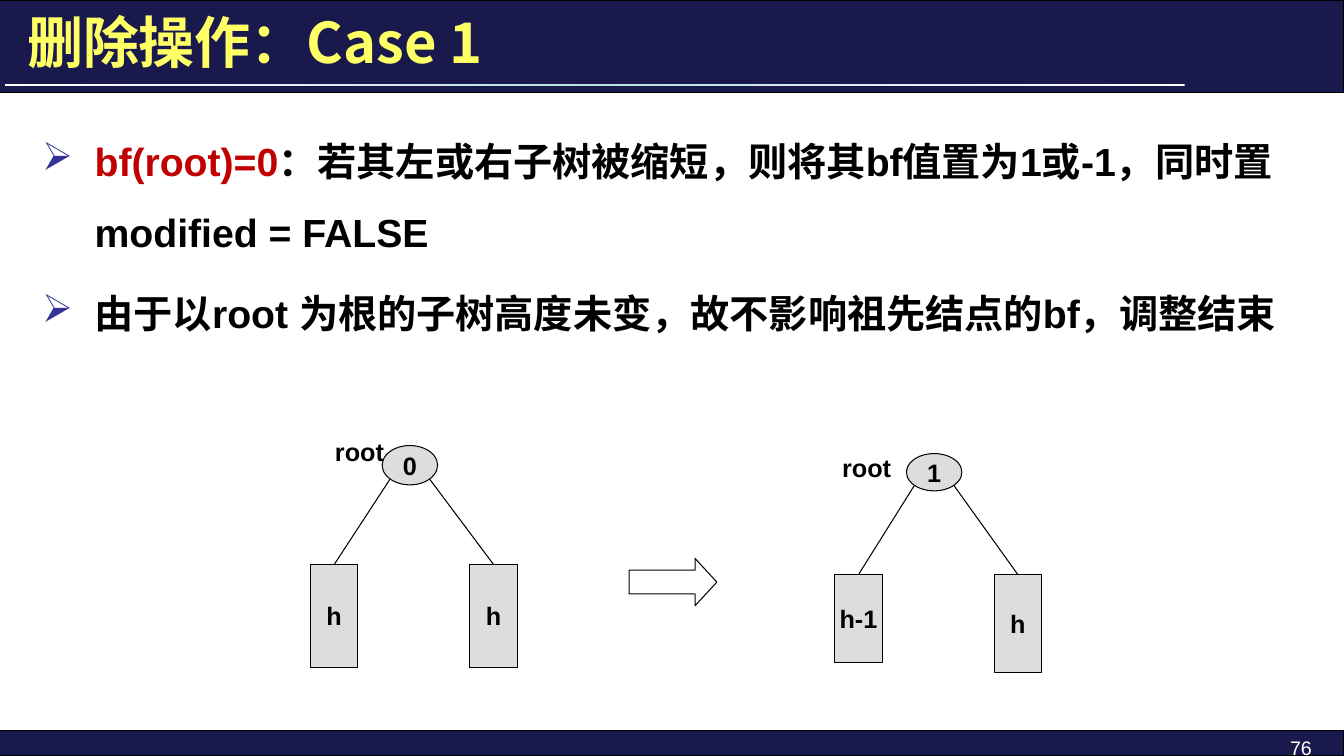
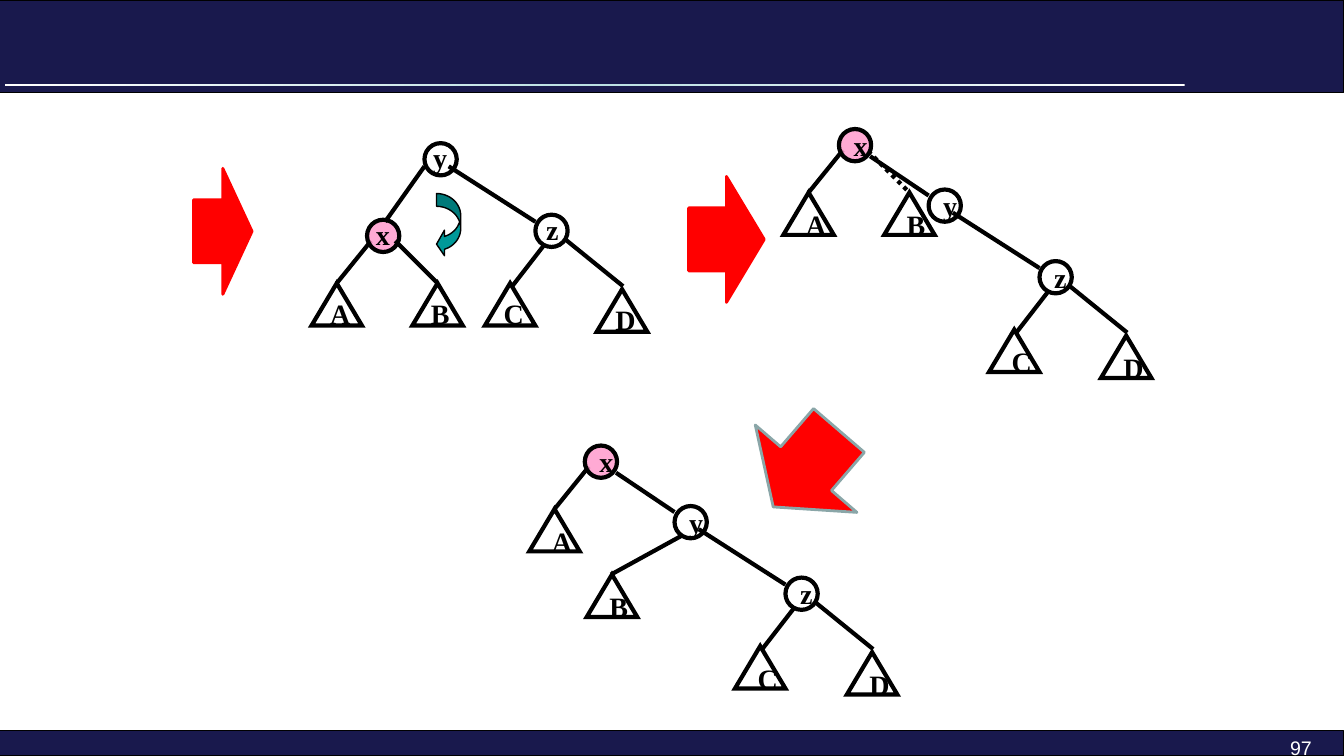
from lxml import etree
from pptx import Presentation
from pptx.dml.color import RGBColor
from pptx.enum.dml import MSO_LINE
from pptx.enum.shapes import MSO_CONNECTOR, MSO_SHAPE as SHAPE
from pptx.enum.text import MSO_ANCHOR as ANCHOR, PP_ALIGN as ALIGN
from pptx.oxml import parse_xml
from pptx.oxml.ns import nsdecls, qn
from pptx.util import Inches, Pt

# Shared look
NAVY, WHITE, BLACK, YELLOW = "19194D", "FFFFFF", "000000", "FFFF66"
GRAY, RED, PINK, TEAL = "DDDDDD", "FF0000", "FF99CC", "009999"
DARK_RED, BULLET_BLUE, PALE_TEAL, ARROW_EDGE = "C00000", "333399", "BBE0E3", "8AA6A8"
HAN_FONT = "Noto Sans CJK SC"
TITLE = {"name": HAN_FONT, "size": Pt(40), "bold": True}
BODY = {"name": "Arial", "size": Pt(28), "bold": True}
LABEL = {"name": "Arial", "size": Pt(18), "bold": True}
NODE = {"name": "Times New Roman", "size": Pt(20), "bold": True}
PAGE_NUMBER = {"name": "Arial", "size": Pt(14), "bold": False}

# Sizes of the tree parts
CIRCLE = 0.32
TRIANGLE_WIDTH, TRIANGLE_HEIGHT = 0.5, 0.42
BOX_WIDTH = 0.47
DEFAULT_INSETS = (0.1, 0.05, 0.1, 0.05)
CIRCLE_INSETS = (0.04, 0.01, 0.1, 0.05)
TRIANGLE_INSETS = (0.06, 0.01, 0.1, 0.05)


def rgb(color):
    return RGBColor.from_string(color)


# Text
def add_run(paragraph, text, style, color):
    run = paragraph.add_run()
    run.text = text
    for name, value in style.items():
        setattr(run.font, name, value)
    run.font.color.rgb = rgb(color)
    east_asian = etree.SubElement(run.font._element, qn("a:ea"))
    east_asian.set("typeface", HAN_FONT)


def set_frame(frame, insets=DEFAULT_INSETS, wrap=True, anchor=ANCHOR.TOP):
    sides = ("margin_left", "margin_top", "margin_right", "margin_bottom")
    for side, inset in zip(sides, insets):
        setattr(frame, side, Inches(inset))
    frame.word_wrap = wrap
    frame.vertical_anchor = anchor


def add_text(slide, box, text, style, color=BLACK, align=ALIGN.LEFT, anchor=ANCHOR.TOP):
    frame = slide.shapes.add_textbox(*map(Inches, box)).text_frame
    set_frame(frame, anchor=anchor)
    paragraph = frame.paragraphs[0]
    paragraph.alignment = align
    add_run(paragraph, text, style, color)


def add_bullets(slide, box, items):
    frame = slide.shapes.add_textbox(*map(Inches, box)).text_frame
    set_frame(frame)
    for index, runs in enumerate(items):
        paragraph = frame.add_paragraph() if index else frame.paragraphs[0]
        paragraph.line_spacing = 1.5
        if index:
            paragraph.space_before = Pt(8)
        properties = paragraph._p.get_or_add_pPr()
        properties.set("marL", str(Inches(0.52)))
        properties.set("indent", str(-Inches(0.52)))
        bullet_color = etree.SubElement(properties, qn("a:buClr"))
        etree.SubElement(bullet_color, qn("a:srgbClr")).set("val", BULLET_BLUE)
        etree.SubElement(properties, qn("a:buChar")).set("char", "➢")
        for text, color in runs:
            add_run(paragraph, text, BODY, color)


# Shapes and lines
def add_shape(slide, kind, box, fill=None, line=BLACK, width=0.75, adjustments=()):
    shape = slide.shapes.add_shape(kind, *map(Inches, box))
    shape.shadow.inherit = False
    if fill:
        shape.fill.solid()
        shape.fill.fore_color.rgb = rgb(fill)
    else:
        shape.fill.background()
    if line:
        shape.line.color.rgb = rgb(line)
        shape.line.width = Pt(width)
    else:
        shape.line.fill.background()
    for index, value in enumerate(adjustments):
        shape.adjustments[index] = value
    return shape


def add_shape_text(shape, text, style, align, insets=DEFAULT_INSETS):
    set_frame(shape.text_frame, insets, wrap=False, anchor=ANCHOR.MIDDLE)
    paragraph = shape.text_frame.paragraphs[0]
    paragraph.alignment = align
    add_run(paragraph, text, style, BLACK)


def add_line(slide, start, end, width=3, dash=None):
    line = slide.shapes.add_connector(MSO_CONNECTOR.STRAIGHT, *map(Inches, (*start, *end)))
    line.line.color.rgb = rgb(BLACK)
    line.line.width = Pt(width)
    if dash:
        line.line.dash_style = dash
    etree.SubElement(line._element.spPr, qn("a:effectLst"))


def add_frame(slide, number):
    """Bands, gradient rule and page number of every slide."""
    add_shape(slide, SHAPE.RECTANGLE, (0, 7.25, 13.33, 0.25), NAVY)
    add_shape(slide, SHAPE.RECTANGLE, (0, 0, 13.33, 0.92), NAVY)
    rule = add_shape(slide, SHAPE.RECTANGLE, (0.05, 0.83, 11.7, 0.02), line=None)
    stops = "".join(
        f'<a:gs pos="{position}"><a:srgbClr val="{color}"/></a:gs>'
        for position, color in ((0, WHITE), (50000, PALE_TEAL), (100000, WHITE)))
    gradient = parse_xml(f'<a:gradFill {nsdecls("a")}><a:gsLst>{stops}</a:gsLst>'
                         '<a:lin ang="0" scaled="0"/></a:gradFill>')
    properties = rule._element.spPr
    properties.replace(properties.find(qn("a:noFill")), gradient)
    add_text(slide, (11.11, 7.25, 2, 0.25), str(number), PAGE_NUMBER, WHITE, ALIGN.RIGHT)


# Height trees: a root over two boxes
def add_height_tree(slide, left, top, root_height, balance, label_shift, box_top, boxes):
    root = add_shape(slide, SHAPE.OVAL, (left, top, 0.55, root_height), GRAY)
    add_shape_text(root, balance, LABEL, ALIGN.CENTER)
    sides = ((-0.71, 0.08), (0.87, 0.47))
    for (box_shift, line_shift), (text, height) in zip(sides, boxes):
        box_left = left + box_shift
        box = add_shape(slide, SHAPE.RECTANGLE, (box_left, box_top, BOX_WIDTH, height), GRAY)
        add_shape_text(box, text, LABEL, ALIGN.CENTER)
        add_line(slide, (left + line_shift, top + root_height * 0.85),
                 (box_left + BOX_WIDTH / 2, box_top), 0.75)
    label_left, label_top = left + label_shift[0], top + label_shift[1]
    add_text(slide, (label_left, label_top, 0.79, 0.4), "root", LABEL, align=ALIGN.CENTER)


# Rotation trees: circles x, y, z over triangles A to D
def add_circle(slide, left, top, text, insets):
    circle = add_shape(slide, SHAPE.OVAL, (left, top, CIRCLE, CIRCLE),
                       PINK if text == "x" else None, width=3)
    if text == "x":
        color = circle._element.spPr.find(qn("a:solidFill"))[0]
        etree.SubElement(color, qn("a:alpha")).set("val", "83000")
    add_shape_text(circle, text, NODE, ALIGN.LEFT, insets)


def add_triangle(slide, left, top, text, insets):
    triangle = add_shape(slide, SHAPE.ISOSCELES_TRIANGLE,
                         (left, top, TRIANGLE_WIDTH, TRIANGLE_HEIGHT), width=3)
    outline = triangle._element.spPr.find(qn("a:ln"))
    etree.SubElement(outline, qn("a:miter")).set("lim", "800000")
    add_shape_text(triangle, text, NODE, ALIGN.LEFT, insets)


def add_branch(slide, left, top, start, end, dash=None):
    """Draw a line whose ends are given from the corner of a node."""
    add_line(slide, (left + start[0], top + start[1]), (left + end[0], top + end[1]), dash=dash)


def add_rotation_tree(slide, x_node, y_node, b_triangle, tight=False):
    circle_insets = CIRCLE_INSETS if tight else DEFAULT_INSETS
    triangle_insets = TRIANGLE_INSETS if tight else DEFAULT_INSETS
    x_left, x_top = x_node
    y_left, y_top = y_node
    z_left, z_top = y_left + 1.1, y_top + 0.71
    add_circle(slide, y_left, y_top, "y", circle_insets)
    add_branch(slide, y_left, y_top, (0.24, 0.23), (1.1, 0.78))
    add_triangle(slide, x_left - 0.55, x_top + 0.63, "A", triangle_insets)
    add_triangle(slide, *b_triangle, "B", triangle_insets)
    add_branch(slide, x_left, x_top, (0.04, 0.21), (-0.3, 0.63))
    add_triangle(slide, z_left - 0.5, z_top + 0.68, "C", triangle_insets)
    add_branch(slide, z_left, z_top, (0.08, 0.31), (-0.23, 0.71))
    add_circle(slide, x_left, x_top, "x", circle_insets)
    add_triangle(slide, z_left + 0.61, z_top + 0.74, "D", triangle_insets)
    add_branch(slide, z_left, z_top, (0.29, 0.24), (0.87, 0.71))
    add_circle(slide, z_left, z_top, "z", triangle_insets)


# Slides
def build_case_slide(slide):
    add_frame(slide, 76)
    add_bullets(slide, (0.32, 1.08, 12.69, 3.07), [
        [("bf(root)=0", DARK_RED),
         ("：若其左或右子树被缩短，则将其bf值置为1或-1，同时置modified = FALSE", BLACK)],
        [("由于以root 为根的子树高度未变，故不影响祖先结点的bf，调整结束", BLACK)],
    ])
    add_text(slide, (0.17, 0.12, 10.58, 0.67), "删除操作：Case 1", TITLE, YELLOW,
             anchor=ANCHOR.BOTTOM)
    add_height_tree(slide, 3.79, 4.42, 0.39, "0", (-0.62, -0.14), 5.6,
                    (("h", 1.02), ("h", 1.02)))
    add_shape(slide, SHAPE.RIGHT_ARROW, (6.24, 5.54, 0.87, 0.47), WHITE,
              adjustments=(0.5, 0.46))
    add_height_tree(slide, 8.99, 4.5, 0.37, "1", (-0.79, -0.06), 5.7,
                    (("h-1", 0.87), ("h", 0.97)))


def build_rotation_slide(slide):
    add_frame(slide, 97)
    # Before the rotation
    add_shape(slide, SHAPE.CURVED_LEFT_ARROW, (4.33, 1.92, 0.24, 0.63), TEAL, width=1,
              adjustments=(0.53, 1.06, 0.33))
    add_rotation_tree(slide, (3.64, 2.18), (4.21, 1.42), (4.09, 2.81), tight=True)
    add_line(slide, (4.21, 1.65), (3.82, 2.2))
    add_line(slide, (3.92, 2.39), (4.34, 2.81))
    # During and after the rotation
    for x_node, b_triangle in (((8.32, 1.28), (8.77, 1.91)), ((5.8, 4.42), (5.82, 5.7))):
        y_node = (x_node[0] + 0.89, x_node[1] + 0.6)
        add_rotation_tree(slide, x_node, y_node, b_triangle)
        add_branch(slide, *x_node, (0.31, 0.27), (0.89, 0.66))
    add_line(slide, (8.61, 1.5), (9.02, 1.91), dash=MSO_LINE.ROUND_DOT)
    add_line(slide, (6.77, 5.31), (6.06, 5.7))
    # Step arrows
    for box in ((1.92, 1.67, 0.58, 1.25), (6.83, 1.75, 0.75, 1.25)):
        add_shape(slide, SHAPE.RIGHT_ARROW, box, RED, RED, 2)
    arrow = add_shape(slide, SHAPE.DOWN_ARROW, (7.33, 4.15, 1.33, 1), RED, ARROW_EDGE, 2)
    arrow.rotation = 40.7


def main():
    presentation = Presentation()
    presentation.slide_width = Inches(13.33)
    presentation.slide_height = Inches(7.5)
    blank = presentation.slide_layouts[6]
    for build in (build_case_slide, build_rotation_slide):
        build(presentation.slides.add_slide(blank))
    presentation.save("out.pptx")


if __name__ == "__main__":
    main()
